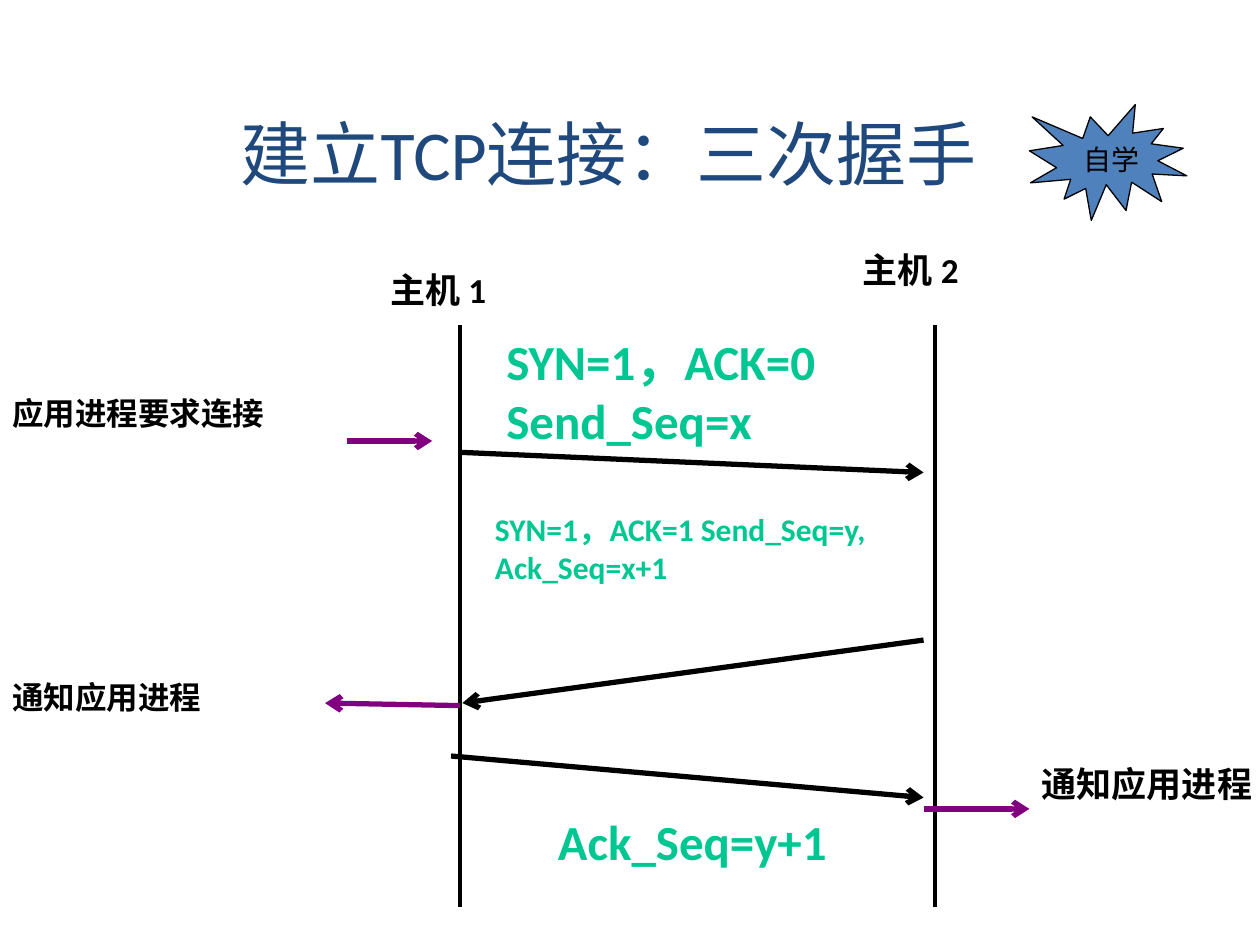
from typing import NamedTuple

from lxml import etree
from pptx import Presentation
from pptx.dml.color import RGBColor
from pptx.enum.shapes import MSO_CONNECTOR, MSO_SHAPE
from pptx.enum.text import MSO_ANCHOR, MSO_AUTO_SIZE, PP_ALIGN
from pptx.oxml.ns import qn
from pptx.util import Pt

STRAIGHT = MSO_CONNECTOR.STRAIGHT
BURST = MSO_SHAPE.EXPLOSION1
MIDDLE = MSO_ANCHOR.MIDDLE
NO_AUTOFIT = MSO_AUTO_SIZE.NONE
CENTER = PP_ALIGN.CENTER

FONT = "Calibri"
COLORS = {
    "black": "000000",
    "title": "1F497D",
    "message": "00C692",
    "process": "800080",
    "burst": "4F81BD",
}
TITLE_ONLY_LAYOUT = 5

# Shared positions, in points
HOST_1, HOST_2 = 262.8, 534.24
TIMELINE_TOP, TIMELINE_BOTTOM = 185.76, 518.4
HOST_2_SIDE = 527.76


class Label(NamedTuple):
    text: str
    left: float
    top: float
    width: float
    height: float
    size: float
    color: str = "black"
    bold: bool = True


class Line(NamedTuple):
    start: tuple[float, float]
    end: tuple[float, float]
    color: str = "black"
    width: float = 3
    arrow: bool = True


LINES = [
    # Host timelines
    *(Line((x, TIMELINE_TOP), (x, TIMELINE_BOTTOM), width=2, arrow=False)
      for x in (HOST_1, HOST_2)),
    # Handshake segments
    Line((HOST_1, 258.48), (HOST_2_SIDE, 270)),
    Line((HOST_2_SIDE, 365.76), (264.24, 401.76)),
    Line((257.76, 432), (HOST_2_SIDE, 455.76)),
    # Exchanges with the application processes
    Line((198, 252), (246.96, 252), "process"),
    Line((HOST_1, 403.2), (185.76, 401.76), "process"),
    Line((HOST_2_SIDE, 462.24), (588.24, 462.24), "process"),
]

LABELS = [
    # Hosts
    Label("主机 1", 216, 149.76, 78.48, 30.96, 20),
    Label("主机 2", 486, 138.24, 69.84, 30.96, 20),
    # Segment contents
    Label("SYN=1，ACK=0 Send_Seq=x", 282.24, 185.76, 288.72, 74.16, 28, "message"),
    Label("SYN=1，ACK=1 Send_Seq=y, Ack_Seq=x+1", 275.76, 288, 275.04, 93.6, 18, "message"),
    Label("Ack_Seq=y+1", 311.76, 460.08, 180.72, 41.04, 28, "message"),
    # Application processes
    Label("应用进程要求连接", 0, 221.76, 210.24, 36, 18),
    Label("通知应用进程", 0, 383.76, 224.64, 36, 18),
    Label("通知应用进程", 588.24, 432, 223.2, 30.96, 20),
]

TITLE = Label("建立TCP连接：三次握手", 95.76, 66.24, 504, 41.76, 40, "title", False)
BADGE = Label("自学", 612, 77.76, 48.24, 26.64, 16, bold=False)


def color_of(name: str) -> RGBColor:
    return RGBColor.from_string(COLORS[name])


def write_label(box, label: Label) -> None:
    """Place a text shape and fill it with the label's formatted text."""
    box.left, box.top = Pt(label.left), Pt(label.top)
    box.width, box.height = Pt(label.width), Pt(label.height)
    frame = box.text_frame
    frame.word_wrap = True
    frame.auto_size = NO_AUTOFIT
    frame.text = label.text
    font = frame.paragraphs[0].font
    font.name, font.size, font.bold = FONT, Pt(label.size), label.bold
    font.color.rgb = color_of(label.color)


def add_label(shapes, label: Label) -> None:
    write_label(shapes.add_textbox(0, 0, 0, 0), label)


def add_line(shapes, line: Line) -> None:
    points = [Pt(value) for value in (*line.start, *line.end)]
    connector = shapes.add_connector(STRAIGHT, *points)
    connector.line.color.rgb = color_of(line.color)
    connector.line.width = Pt(line.width)
    if line.arrow:
        outline = connector.line._get_or_add_ln()
        etree.SubElement(outline, qn("a:tailEnd"), type="arrow")
    etree.SubElement(connector._element.spPr, qn("a:effectLst"))


def add_badge(shapes) -> None:
    group = shapes.add_group_shape()
    burst = group.shapes.add_shape(BURST, Pt(588.24), Pt(59.76), Pt(90), Pt(66.24))
    burst.shadow.inherit = False
    burst.fill.solid()
    burst.fill.fore_color.rgb = color_of("burst")
    burst.line.color.rgb = color_of("black")
    burst.line.width = Pt(0.75)
    add_label(group.shapes, BADGE)


def main() -> None:
    deck = Presentation()
    deck.slide_width, deck.slide_height = Pt(720), Pt(540)
    slide = deck.slides.add_slide(deck.slide_layouts[TITLE_ONLY_LAYOUT])
    shapes = slide.shapes

    # Title
    write_label(shapes.title, TITLE)
    shapes.title.text_frame.vertical_anchor = MIDDLE
    shapes.title.text_frame.paragraphs[0].alignment = CENTER

    # Sequence diagram
    for line in LINES:
        add_line(shapes, line)
    for label in LABELS:
        add_label(shapes, label)

    # Self-study badge
    add_badge(shapes)

    deck.save("out.pptx")


if __name__ == "__main__":
    main()
